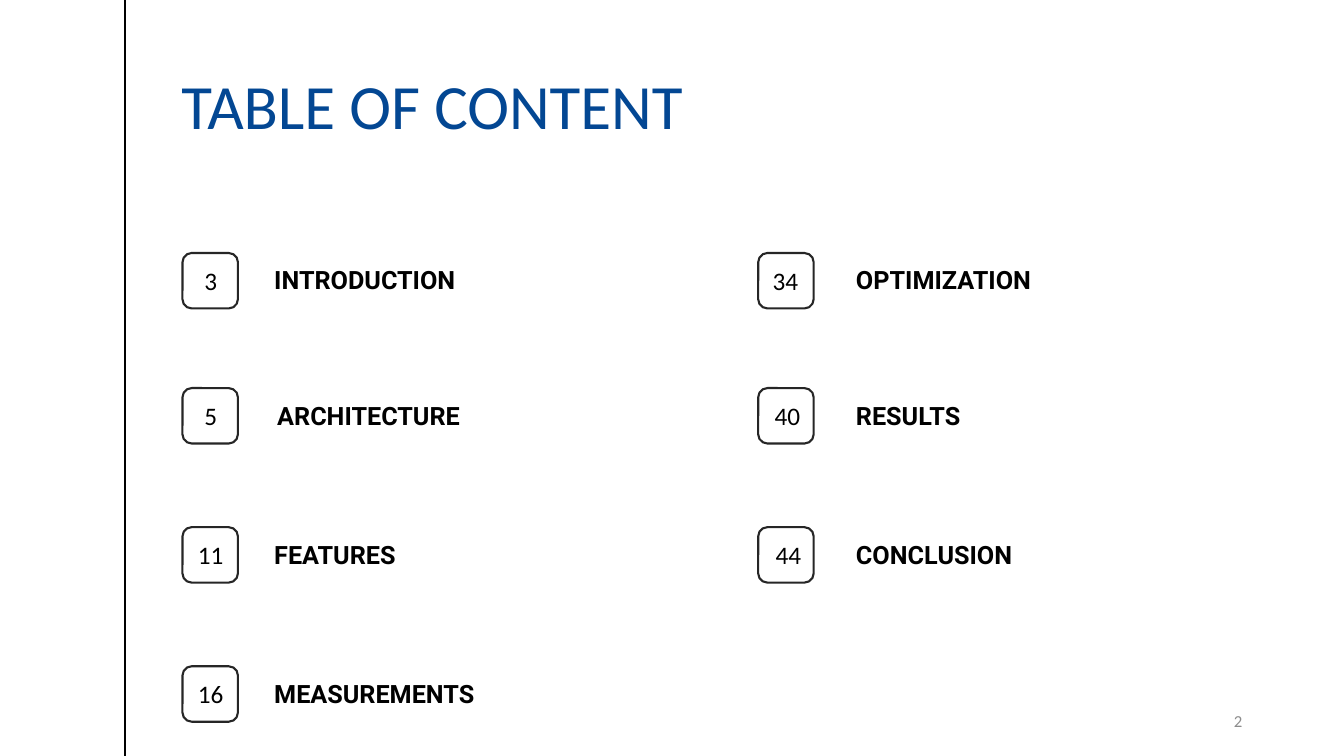
from pptx import Presentation
from pptx.dml.color import RGBColor
from pptx.enum.shapes import MSO_CONNECTOR, MSO_SHAPE
from pptx.enum.text import MSO_ANCHOR, PP_ALIGN
from pptx.oxml.ns import qn
from pptx.util import Inches, Pt
from lxml import etree

STRAIGHT = MSO_CONNECTOR.STRAIGHT
ROUNDED = MSO_SHAPE.ROUNDED_RECTANGLE
MIDDLE, BOTTOM = MSO_ANCHOR.MIDDLE, MSO_ANCHOR.BOTTOM
LEFT, CENTER, RIGHT = PP_ALIGN.LEFT, PP_ALIGN.CENTER, PP_ALIGN.RIGHT

COLORS = {"title": "034793", "text": "000000", "badge": "262626", "page": "8C8C8C"}
ROW_TOPS = [2.51, 3.85, 5.23, 6.61]
BADGE_SIZE = 0.55
TEXT_DROP = 0.07
COLUMNS = [
    (1.81, [
        ("3", 2.09, "INTRODUCTION", 2.72),
        ("5", 2.09, "ARCHITECTURE", 2.75),
        ("11", 2.09, "FEATURES", 2.72),
        ("16", 2.09, "MEASUREMENTS", 2.72),
    ]),
    (7.52, [
        ("34", 7.79, "OPTIMIZATION", 8.49),
        ("40", 7.81, "RESULTS", 8.49),
        ("44", 7.82, "CONCLUSION", 8.49),
    ]),
]


def color(name):
    return RGBColor.from_string(COLORS[name])


def write_text(box, text, size, font, color_name, anchor, align=LEFT, bold=False,
               left_inset=0.1, right_inset=0.1, spacing=1.0):
    frame = box.text_frame
    frame.word_wrap = True
    frame.vertical_anchor = anchor
    frame.margin_left, frame.margin_right = Inches(left_inset), Inches(right_inset)
    frame.margin_top = frame.margin_bottom = Inches(0.05)
    frame.text = text
    para = frame.paragraphs[0]
    para.alignment = align
    para.line_spacing = spacing
    para.font.size = Pt(size)
    para.font.name = font
    para.font.bold = bold
    para.font.color.rgb = color(color_name)


def add_text(page, left, top, width, text, *style, **options):
    box = page.shapes.add_textbox(Inches(left), Inches(top), Inches(width), Inches(0.4))
    write_text(box, text, *style, **options)


def add_title(page, text):
    title = page.shapes.title
    title.left, title.top = Inches(1.8), Inches(0.37)
    title.width, title.height = Inches(11.06), Inches(1.1)
    write_text(title, text, 45, "Calibri", "title", BOTTOM,
               left_inset=0, right_inset=0, spacing=0.9)


def add_margin_line(page):
    line = page.shapes.add_connector(STRAIGHT, Inches(1.24), 0, Inches(1.24), Inches(7.5))
    line.line.color.rgb = color("text")
    line.line.width = Pt(1)
    etree.SubElement(line._element.spPr, qn("a:effectLst"))


def add_badge(page, left, top):
    badge = page.shapes.add_shape(ROUNDED, Inches(left), Inches(top),
                                  Inches(BADGE_SIZE), Inches(BADGE_SIZE))
    badge.shadow.inherit = False
    badge.fill.background()
    badge.line.color.rgb = color("badge")
    badge.line.width = Pt(1.5)


def add_entry(page, badge_left, top, number, number_center, label, label_left):
    add_badge(page, badge_left, top)
    text_top = top + TEXT_DROP
    add_text(page, number_center - 0.25, text_top, 0.5, number,
             18, "Calibri", "text", MIDDLE, align=CENTER)
    add_text(page, label_left, text_top, 4.37, label,
             18, "Roboto", "text", BOTTOM, bold=True, left_inset=0, spacing=0.9)


def main():
    deck = Presentation()
    deck.slide_width, deck.slide_height = Inches(13.33), Inches(7.5)
    page = deck.slides.add_slide(deck.slide_layouts[5])
    add_margin_line(page)
    add_title(page, "TABLE OF CONTENT")
    for badge_left, entries in COLUMNS:
        for top, entry in zip(ROW_TOPS, entries):
            add_entry(page, badge_left, top, *entry)
    add_text(page, 9.42, 6.95, 3, "2", 12, "Calibri", "page", MIDDLE, align=RIGHT)
    deck.save("out.pptx")


if __name__ == "__main__":
    main()
